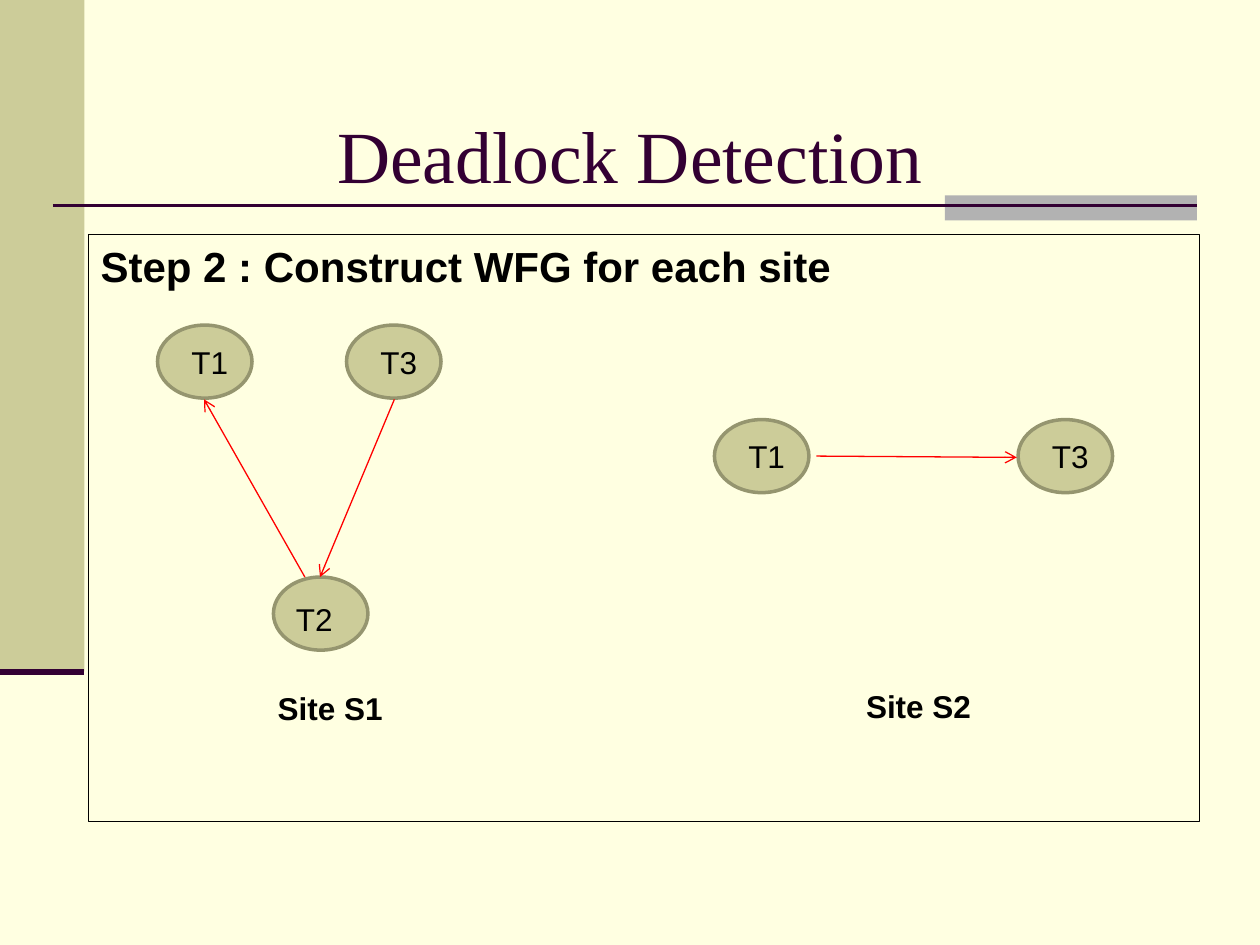
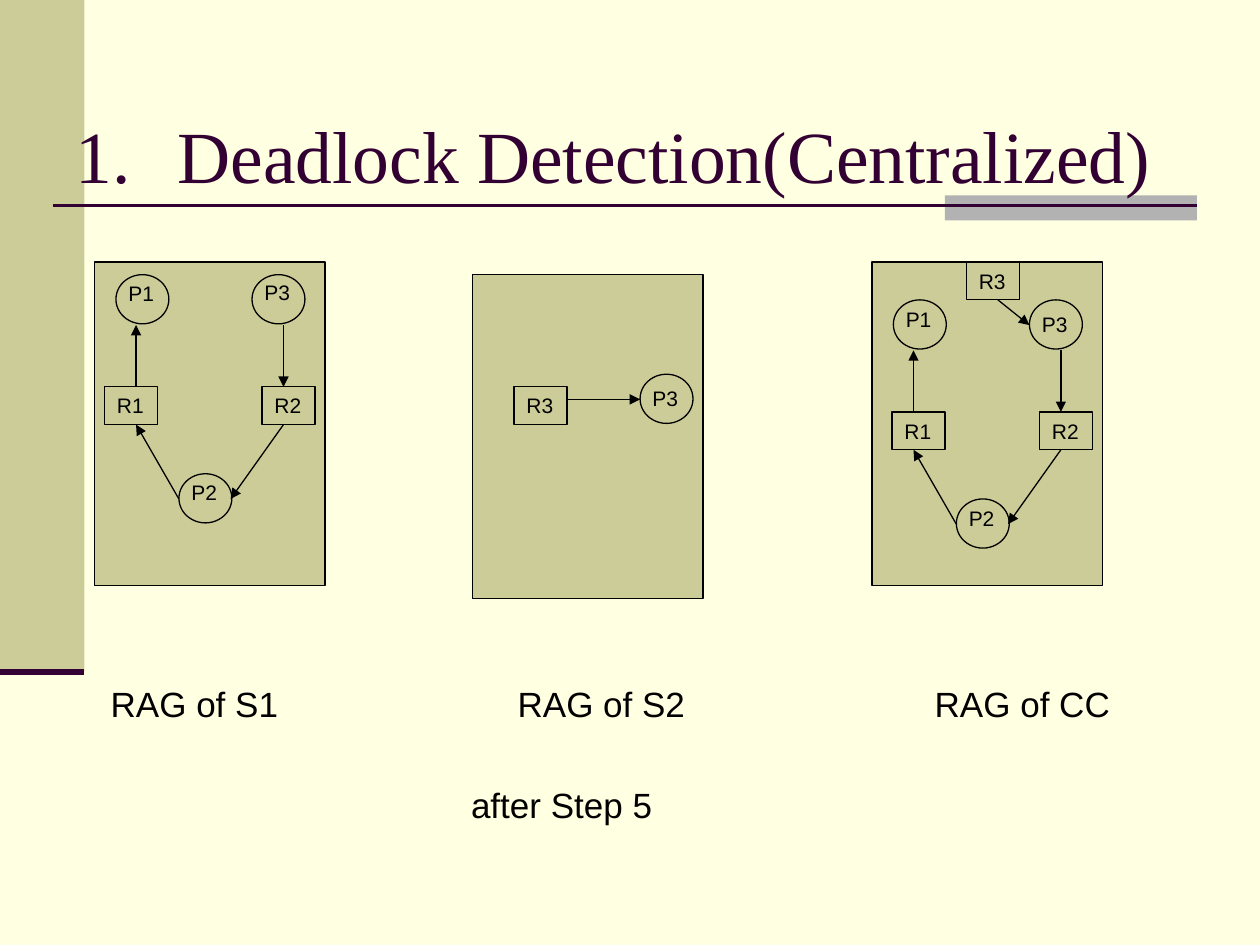
from dataclasses import dataclass
from typing import Optional

from lxml import etree
from pptx import Presentation
from pptx.dml.color import RGBColor
from pptx.enum import shapes, text
from pptx.oxml.ns import qn
from pptx.util import Inches, Pt

CREAM = RGBColor(0xFF, 0xFF, 0xE1)
KHAKI = RGBColor(0xCC, 0xCC, 0x99)
OLIVE = RGBColor(0x95, 0x95, 0x6F)
GREY = RGBColor(0xB2, 0xB2, 0xB2)
PLUM = RGBColor(0x33, 0x00, 0x33)
RED = RGBColor(0xFF, 0x00, 0x00)
BLACK = RGBColor(0x00, 0x00, 0x00)

RECT = shapes.MSO_SHAPE.RECTANGLE
OVAL = shapes.MSO_SHAPE.OVAL
LEFT, CENTER = text.PP_ALIGN.LEFT, text.PP_ALIGN.CENTER


@dataclass(frozen=True)
class NodeStyle:
    shape: int
    width: float
    height: float
    line: RGBColor
    weight: float
    size: float


@dataclass(frozen=True)
class Node:
    label: str
    x: float
    y: float
    style: NodeStyle
    label_dx: float = 0
    label_dy: float = 0


@dataclass(frozen=True)
class Edge:
    x1: float
    y1: float
    x2: float
    y2: float


TRANSACTION = NodeStyle(OVAL, 0.75, 0.58, OLIVE, 2, 18)
PROCESS = NodeStyle(OVAL, 0.42, 0.39, BLACK, 0.75, 12)
RESOURCE = NodeStyle(RECT, 0.42, 0.3, BLACK, 0.75, 12)


# Basic elements
def add_box(s, shape: int, x: float, y: float, w: float, h: float,
            fill: Optional[RGBColor] = KHAKI,
            line: Optional[RGBColor] = None, weight: float = 0.75):
    sp = s.shapes.add_shape(shape, Inches(x), Inches(y), Inches(w), Inches(h))
    sp.shadow.inherit = False
    if fill is None:
        sp.fill.background()
    else:
        sp.fill.solid()
        sp.fill.fore_color.rgb = fill
    if line is None:
        sp.line.fill.background()
    else:
        sp.line.color.rgb = line
        sp.line.width = Pt(weight)
    return sp


def add_line(s, edge: Edge, color: RGBColor = BLACK, weight: float = 0.75,
             head: Optional[str] = None) -> None:
    c = s.shapes.add_connector(shapes.MSO_CONNECTOR.STRAIGHT, Inches(edge.x1),
                               Inches(edge.y1), Inches(edge.x2), Inches(edge.y2))
    c.line.color.rgb = color
    c.line.width = Pt(weight)
    if head:
        etree.SubElement(c.line._get_or_add_ln(), qn("a:tailEnd"), type=head)
    etree.SubElement(c._element.spPr, qn("a:effectLst"))


def write(sp, words: str, size: float, font: str = "Arial",
          color: RGBColor = BLACK, bold: bool = False, align=LEFT,
          anchor=text.MSO_ANCHOR.TOP, wrap: bool = True):
    tf = sp.text_frame
    tf.word_wrap = wrap
    tf.vertical_anchor = anchor
    p = tf.paragraphs[0]
    p.alignment = align
    r = p.add_run()
    r.text = words
    r.font.name, r.font.size, r.font.bold = font, Pt(size), bold
    r.font.color.rgb = color
    return p


def add_text(s, words: str, x: float, y: float, w: float, h: float,
             size: float, **fmt):
    sp = s.shapes.add_textbox(Inches(x), Inches(y), Inches(w), Inches(h))
    return write(sp, words, size, **fmt)


# Shared slide frame and title
def new_slide(prs, title: str, numbered: bool = False):
    s = prs.slides.add_slide(prs.slide_layouts[6])
    add_box(s, RECT, 0, 0, 0.67, 5.33)
    add_box(s, RECT, 7.5, 1.55, 2, 0.2, fill=GREY)
    add_line(s, Edge(0.42, 1.63, 9.5, 1.63), PLUM, 1.5)
    add_line(s, Edge(0, 5.33, 0.67, 5.33), PLUM, 3.5)
    p = add_text(s, title, 0.5, 0.77, 9, 0.9, 42, font="Times New Roman",
                 color=PLUM, align=LEFT if numbered else CENTER,
                 anchor=text.MSO_ANCHOR.MIDDLE)
    if numbered:
        pPr = p._p.get_or_add_pPr()
        pPr.set("marL", str(Inches(0.81)))
        pPr.set("indent", str(-Inches(0.81)))
        etree.SubElement(pPr, qn("a:buFont"), typeface="Times New Roman")
        etree.SubElement(pPr, qn("a:buAutoNum"), type="arabicPeriod")
    return s


# Graphs
def draw_graph(s, nodes: list[Node], edges: list[Edge],
               color: RGBColor = BLACK, head: str = "triangle") -> None:
    for n in nodes:
        st = n.style
        add_box(s, st.shape, n.x, n.y, st.width, st.height,
                line=st.line, weight=st.weight)
        add_text(s, n.label, n.x + n.label_dx, n.y + n.label_dy, 0.58, 0.3,
                 st.size, wrap=False)
    for e in edges:
        add_line(s, e, color, head=head)


def draw_cycle(s, x: float, y: float, r1_dx: float, p3_dy: float) -> None:
    """Draw P3 -> R2 -> P2 -> R1 -> P1 from its left and top edge."""
    nodes = [
        Node("P1", x + 0.17, y, PROCESS),
        Node("P3", x + 1.25, y, PROCESS, label_dy=p3_dy),
        Node("R1", x + r1_dx, y + 0.89, RESOURCE),
        Node("R2", x + 1.33, y + 0.89, RESOURCE),
        Node("P2", x + 0.67, y + 1.58, PROCESS),
    ]
    edges = [
        Edge(x + 0.33, y + 0.89, x + 0.33, y + 0.4),
        Edge(x + 1.5, y + 0.4, x + 1.5, y + 0.89),
        Edge(x + 0.67, y + 1.78, x + 0.33, y + 1.19),
        Edge(x + 1.5, y + 1.19, x + 1.08, y + 1.78),
    ]
    draw_graph(s, nodes, edges)


def wait_for_slide(prs) -> None:
    s = new_slide(prs, "Deadlock Detection")
    frame = add_box(s, RECT, 0.7, 1.86, 8.82, 4.66, fill=None, line=BLACK)
    write(frame, "Step 2 : Construct WFG for each site", 24, bold=True)

    nodes = [
        Node("T1", 1.25, 2.58, TRANSACTION, 0.17, 0.09),
        Node("T2", 2.17, 4.58, TRANSACTION, 0.08, 0.13),
        Node("T3", 2.75, 2.58, TRANSACTION, 0.17, 0.09),
        Node("T1", 5.67, 3.33, TRANSACTION, 0.17, 0.09),
        Node("T3", 8.08, 3.33, TRANSACTION, 0.17, 0.09),
    ]
    edges = [
        Edge(3.13, 3.17, 2.54, 4.58),
        Edge(2.42, 4.58, 1.62, 3.17),
        Edge(6.48, 3.62, 8.07, 3.63),
    ]
    draw_graph(s, nodes, edges, RED, "arrow")
    for site, x, y in (("Site S1", 1.08, 5.42), ("Site S2", 5.75, 5.4)):
        add_text(s, site, x, y, 3.08, 0.4, 18, bold=True, align=CENTER)


def allocation_slide(prs) -> None:
    s = new_slide(prs, "Deadlock Detection(Centralized)", numbered=True)
    # Panels
    for x, y in ((0.75, 2.08), (3.75, 2.18), (6.92, 2.08)):
        add_box(s, RECT, x, y, 1.83, 2.57, line=BLACK)

    # Site S1, site S2 and the central coordinator
    draw_cycle(s, 0.75, 2.18, r1_dx=0.08, p3_dy=-0.01)
    draw_graph(s, [Node("R3", 4.08, 3.07, RESOURCE),
                   Node("P3", 5.08, 2.97, PROCESS, label_dy=0.04)],
               [Edge(4.5, 3.17, 5.08, 3.17)])
    draw_cycle(s, 6.92, 2.38, r1_dx=0.16, p3_dy=0.04)
    draw_graph(s, [Node("R3", 7.67, 2.08, RESOURCE)],
               [Edge(7.92, 2.38, 8.17, 2.58)])

    # Captions
    for caption, x, y in (("RAG of S1", 0.78, 5.37), ("RAG of S2", 4.01, 5.37),
                          ("RAG of CC", 7.32, 5.37), ("after Step 5", 3.64, 6.17)):
        add_text(s, caption, x, y, 2, 0.4, 20)


def main() -> None:
    prs = Presentation()
    prs.slide_width, prs.slide_height = Inches(10), Inches(7.5)
    background = prs.slide_master.background.fill
    background.solid()
    background.fore_color.rgb = CREAM
    wait_for_slide(prs)
    allocation_slide(prs)
    prs.save("out.pptx")


if __name__ == "__main__":
    main()
